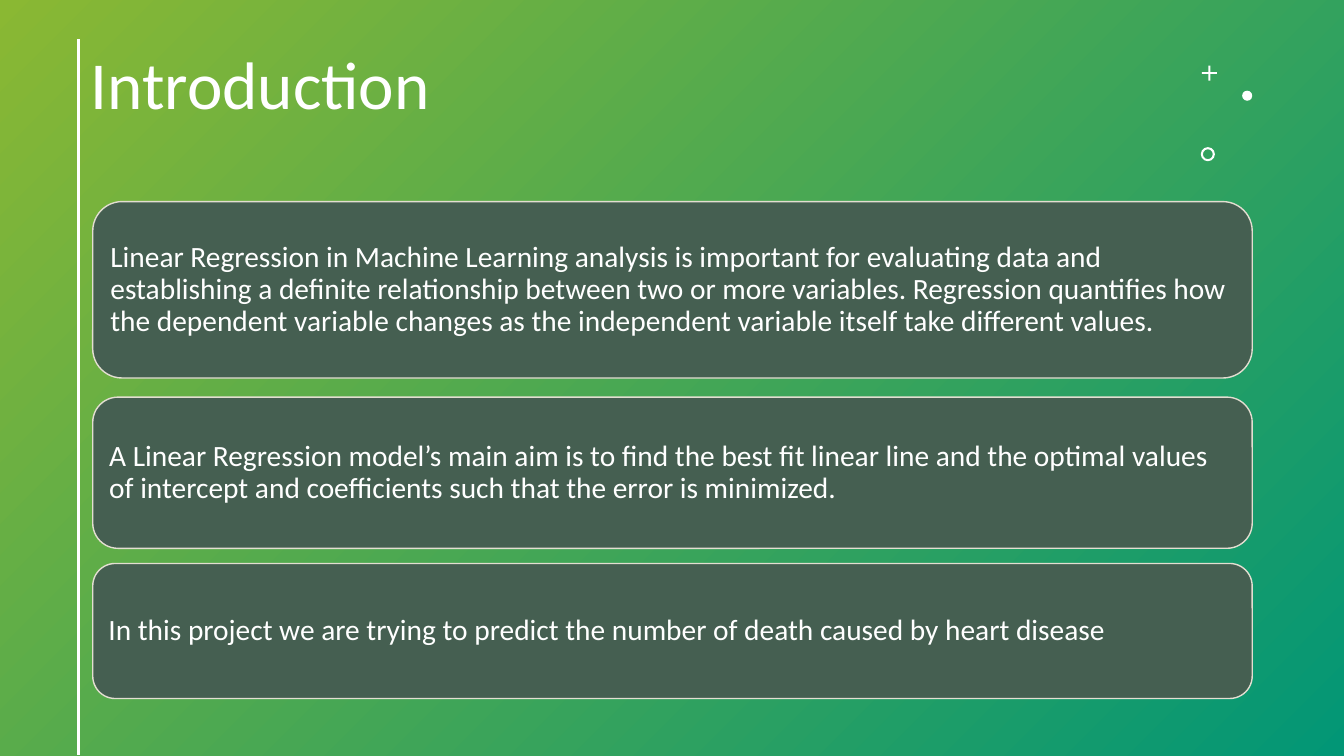
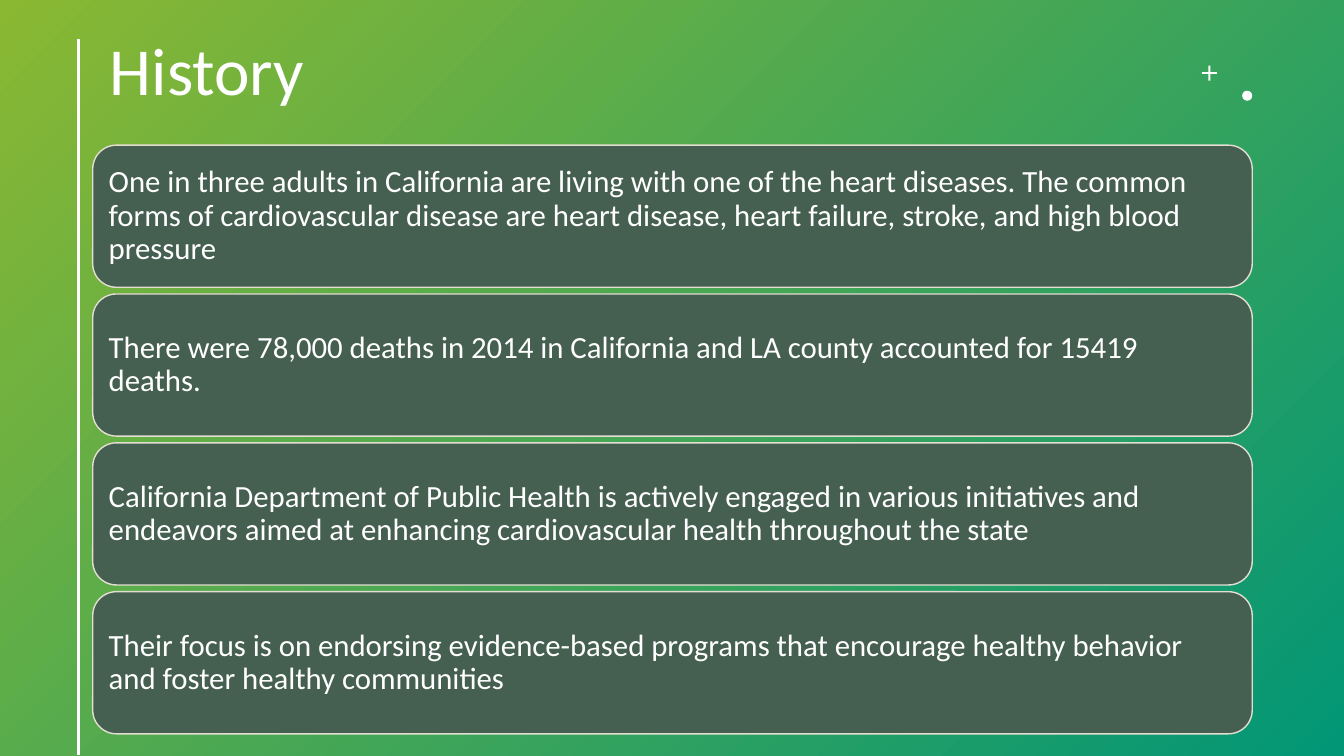
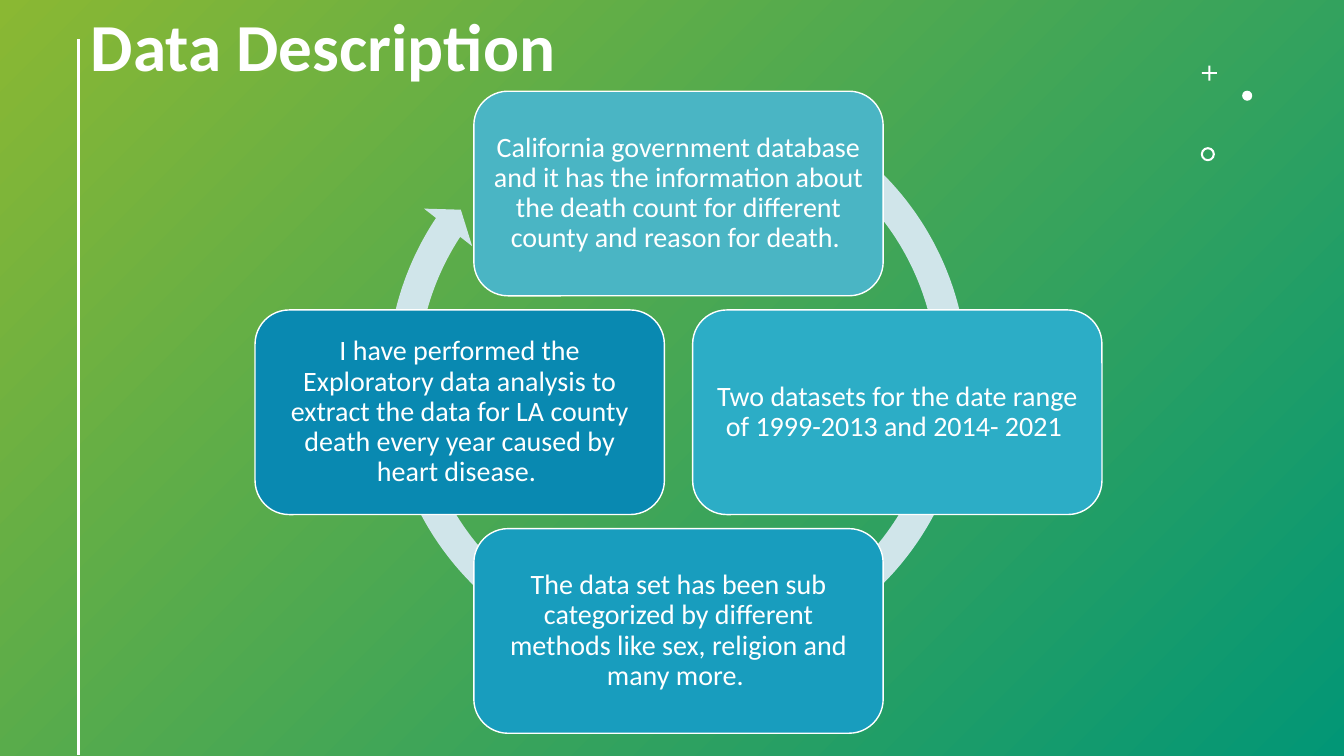
from lxml import etree
from pptx import Presentation
from pptx.dml.color import RGBColor
from pptx.enum import shapes, text
from pptx.oxml.ns import qn
from pptx.util import Inches, Pt

COLORS = {
    "lime": "8AB833", "teal": "029676", "white": "FFFFFF",
    "card": "455F51", "card_line": "E3DED1", "arrow": "D0E5EA",
    "top": "4AB5C4", "right": "2CADC6", "bottom": "189DBE", "left": "0989B1",
}
RGB = {name: RGBColor.from_string(value) for name, value in COLORS.items()}
FONT = "Calibri"
WIDTH, HEIGHT = 13.33, 7.5
SHAPE = shapes.MSO_SHAPE


def add_filled(slide, kind, box, fill, line=None):
    shape = slide.shapes.add_shape(kind, *map(Inches, box))
    shape.shadow.inherit = False
    shape.fill.solid()
    shape.fill.fore_color.rgb = RGB[fill]
    if line:
        shape.line.color.rgb = RGB[line]
        shape.line.width = Pt(1)
    else:
        shape.line.fill.background()
    return shape


def write_text(shape, words, size, align, inset, bold=False):
    frame = shape.text_frame
    frame.text = words
    frame.word_wrap = True
    frame.auto_size = text.MSO_AUTO_SIZE.NONE
    frame.vertical_anchor = text.MSO_ANCHOR.MIDDLE
    frame.margin_left = frame.margin_right = Inches(inset)
    frame.margin_top = frame.margin_bottom = Inches(inset)
    paragraph = frame.paragraphs[0]
    paragraph.alignment = align
    paragraph.line_spacing = 0.9
    font = paragraph.runs[0].font
    font.name, font.size, font.bold = FONT, Pt(size), bold
    font.color.rgb = RGB["white"]


presentation = Presentation()
presentation.slide_width = Inches(WIDTH)
presentation.slide_height = Inches(HEIGHT)
title_only = presentation.slide_layouts[5]

# Shared parts: backdrop, title, side line and ornaments
titles = [
    # words, left, top, bold, ring shown
    ("Introduction", 0.8, 0.15, False, True),
    ("History", 0.99, 0.01, False, False),
    ("Data Description", 0.8, -0.23, True, True),
]
slides = []
for words, left, top, bold, has_ring in titles:
    slide = presentation.slides.add_slide(title_only)
    slides.append(slide)

    title = slide.shapes.title
    title.left, title.top = Inches(left), Inches(top)
    title.width, title.height = Inches(10.72), Inches(1.45)
    write_text(title, words, 48, text.PP_ALIGN.LEFT, 0.1, bold)

    backdrop = add_filled(slide, SHAPE.RECTANGLE, (0, 0, WIDTH, HEIGHT), "teal")
    backdrop.fill.gradient()
    backdrop.fill.gradient_angle = 315
    for stop, color in zip(backdrop.fill.gradient_stops, ("lime", "teal")):
        stop.color.rgb = RGB[color]
    title.element.addprevious(backdrop.element)

    side_line = slide.shapes.add_connector(
        shapes.MSO_CONNECTOR.STRAIGHT,
        Inches(0.78), Inches(0.39), Inches(0.78), Inches(7.49))
    side_line.line.color.rgb = RGB["white"]
    side_line.line.width = Pt(2)
    etree.SubElement(side_line.element.spPr, qn("a:effectLst"))

    plus = add_filled(slide, SHAPE.CROSS, (11.92, 0.65, 0.15, 0.15), "white")
    plus.adjustments[0] = 0.44
    add_filled(slide, SHAPE.OVAL, (12.32, 0.9, 0.1, 0.1), "white")
    if has_ring:
        ring = add_filled(slide, SHAPE.DONUT, (11.91, 1.46, 0.14, 0.14), "white")
        ring.adjustments[0] = 0.15

introduction, history, description = slides

# Introduction and History: stacked cards
introduction_cards = [
    (2, 1.75, "Linear Regression in Machine Learning analysis is important for "
     "evaluating data and establishing a definite relationship between two or more "
     "variables. Regression quantifies how the dependent variable changes as the "
     "independent variable itself take different values."),
    (3.94, 1.5, "A Linear Regression model’s main aim is to find the best fit linear "
     "line and the optimal values of intercept and coefficients such that the error "
     "is minimized."),
    (5.59, 1.34, "In this project we are trying to predict the number of death caused "
     "by heart disease"),
]
history_facts = [
    "One in three adults in California are living with one of the heart diseases. "
    "The common forms of cardiovascular disease are heart disease, heart failure, "
    "stroke, and high blood pressure",
    "There were 78,000 deaths in 2014 in California and LA county accounted for "
    "15419 deaths.",
    "California Department of Public Health is actively engaged in various "
    "initiatives and endeavors aimed at enhancing cardiovascular health throughout "
    "the state",
    "Their focus is on endorsing evidence-based programs that encourage healthy "
    "behavior and foster healthy communities",
]
first_top, last_top, fact_height = 1.44, 5.87, 1.41
pitch = (last_top - first_top) / (len(history_facts) - 1)
history_cards = [(first_top + index * pitch, fact_height, fact)
                 for index, fact in enumerate(history_facts)]

for slide, cards, size in ((introduction, introduction_cards, 21),
                           (history, history_cards, 22)):
    for top, height, words in cards:
        card = add_filled(slide, SHAPE.ROUNDED_RECTANGLE,
                          (0.92, top, 11.5, height), "card", "card_line")
        write_text(card, words, size, text.PP_ALIGN.LEFT, 0.09)

# Data Description: four boxes around a circular arrow
cycle_arrow = add_filled(description, SHAPE.CIRCULAR_ARROW,
                         (3.69, 0.73, 6.06, 6.06), "arrow")
for index, value in enumerate((0.05, 2.73, 128.07, 180.48, 0.05)):
    cycle_arrow.adjustments[index] = value

center_x, center_y, radius = 6.73, 4.09, 2.17
box_width, box_height = 4.06, 2.03
cycle_steps = [
    ("top", 0, -1, "California government database and it has the information about "
     "the death count for different county and reason for death. "),
    ("right", 1, 0, "Two datasets for the date range of 1999-2013 and 2014- 2021 "),
    ("bottom", 0, 1, "The data set has been sub categorized by different methods like "
     "sex, religion and many more. "),
    ("left", -1, 0, "I have performed the Exploratory data analysis to extract the "
     "data for LA county death every year caused by heart disease. "),
]
for color, across, down, words in cycle_steps:
    left = center_x + across * radius - box_width / 2
    top = center_y + down * radius - box_height / 2
    step = add_filled(description, SHAPE.ROUNDED_RECTANGLE,
                      (left, top, box_width, box_height), color, "white")
    write_text(step, words, 20, text.PP_ALIGN.CENTER, 0.08)

presentation.save("out.pptx")
